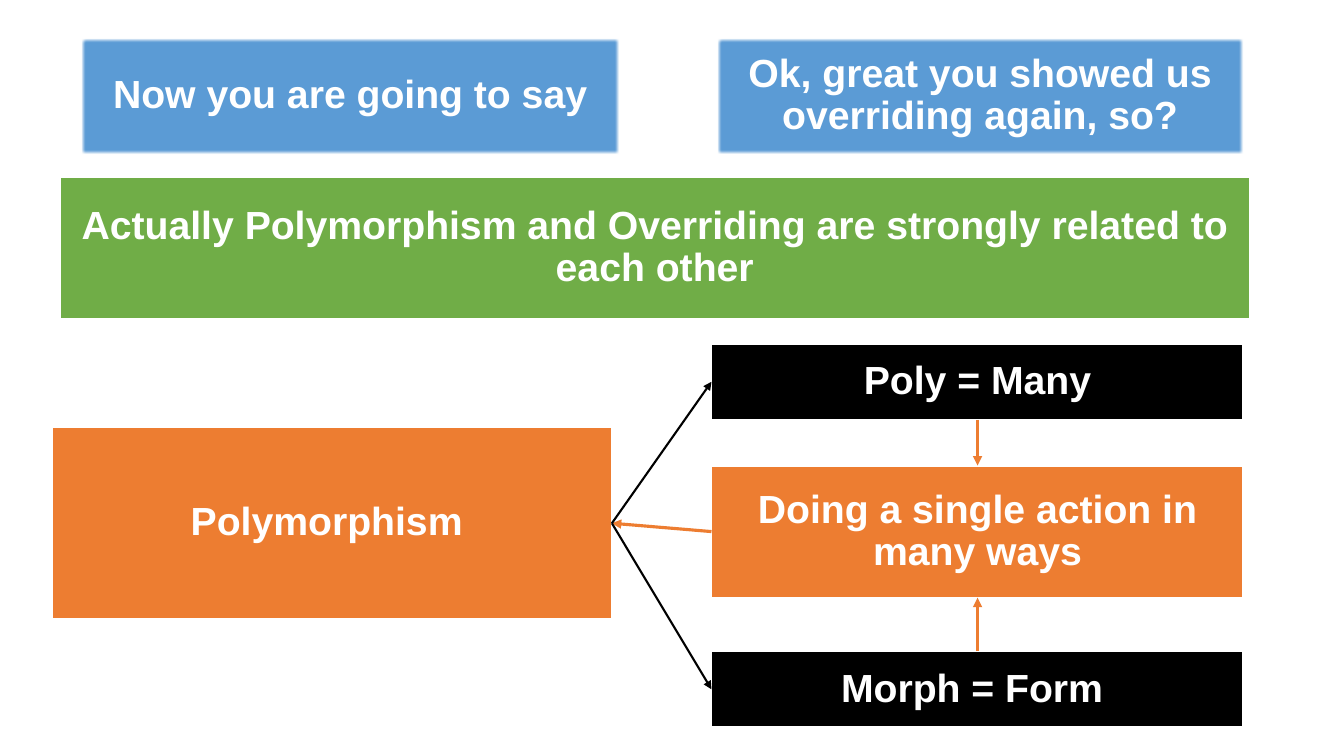
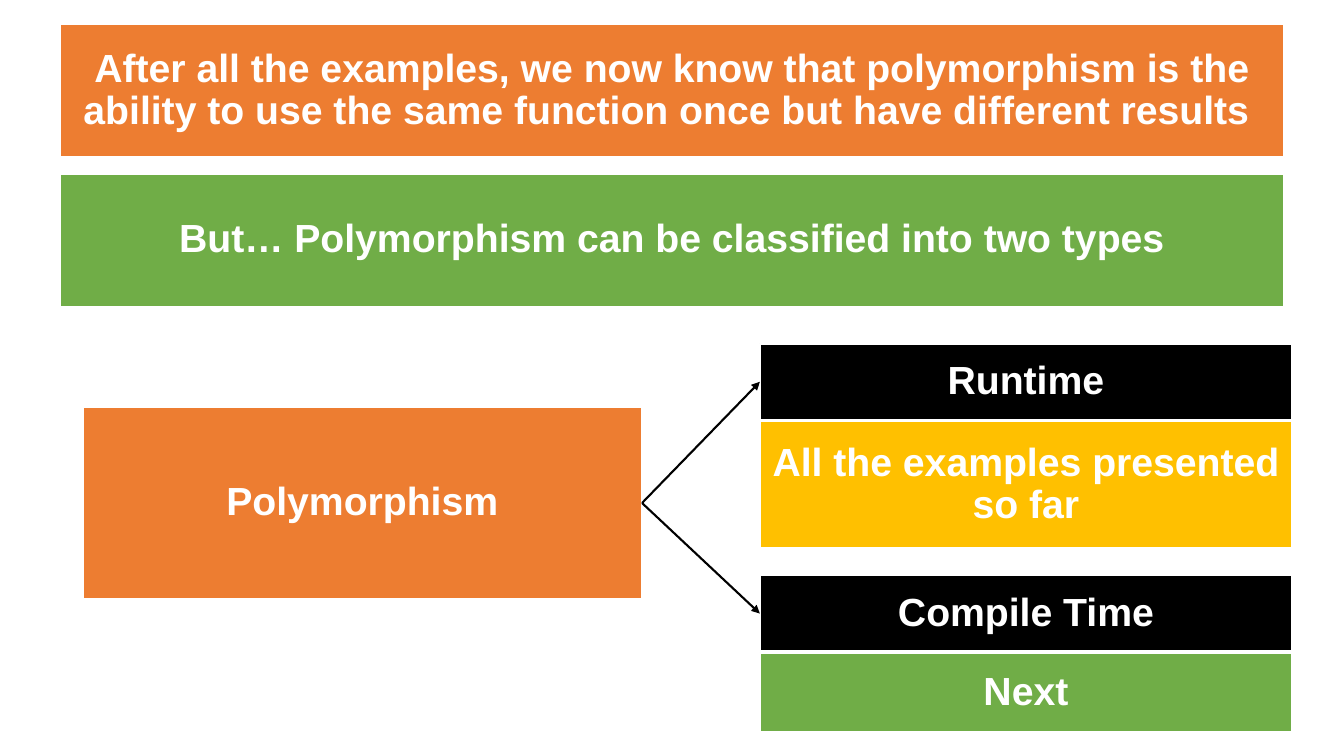
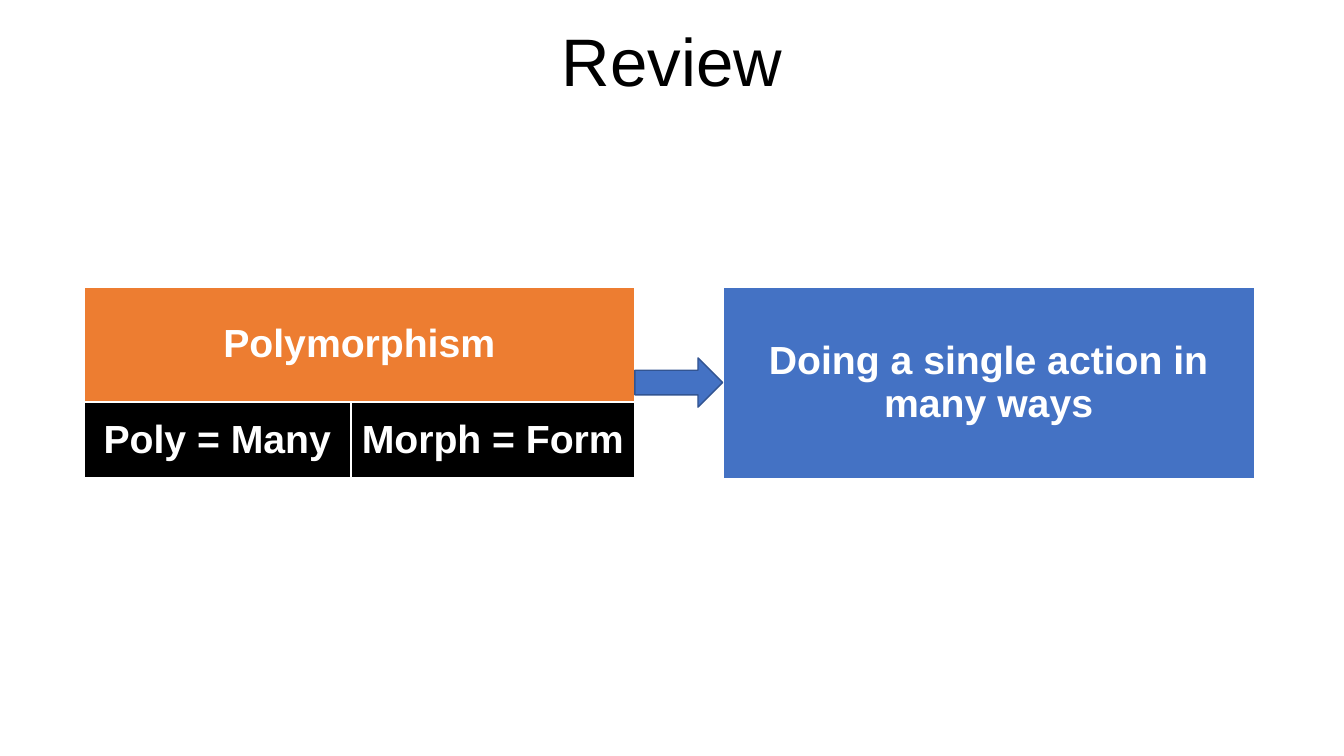
from lxml import etree
from pptx import Presentation
from pptx.dml.color import RGBColor
from pptx.enum.shapes import MSO_CONNECTOR, MSO_SHAPE
from pptx.enum.text import MSO_ANCHOR, PP_ALIGN
from pptx.oxml.ns import qn
from pptx.util import Cm, Pt

RECTANGLE, RIGHT_ARROW = MSO_SHAPE.RECTANGLE, MSO_SHAPE.RIGHT_ARROW
STRAIGHT = MSO_CONNECTOR.STRAIGHT
CENTER, MIDDLE = PP_ALIGN.CENTER, MSO_ANCHOR.MIDDLE
TOP, LEFT, BOTTOM, RIGHT = range(4)  # connection sites of a rectangle
TITLE_ONLY, BLANK = 5, 6

COLORS = {
    "white": "FFFFFF", "black": "000000", "sky": "5B9BD5", "blue": "4472C4",
    "navy": "325491", "green": "70AD47", "orange": "ED7D31", "gold": "FFC000",
}
FONT = "Arial"
SLIDE_WIDTH, SLIDE_HEIGHT = 33.87, 19.05
TERM_WIDTH, TERM_HEIGHT = 13.41, 1.92  # black label boxes
TOPIC_WIDTH, TOPIC_HEIGHT = 14.1, 4.83  # large topic box


def color(name):
    return RGBColor.from_string(COLORS[name])


class Deck:
    """Holds the shared style and the current slide."""

    def __init__(self):
        self.presentation = Presentation()
        self.presentation.slide_width = Cm(SLIDE_WIDTH)
        self.presentation.slide_height = Cm(SLIDE_HEIGHT)
        self.slide = None

    def new_slide(self, layout=BLANK):
        self.slide = self.presentation.slides.add_slide(
            self.presentation.slide_layouts[layout])

    def set_text(self, shape, text, size, font_color, bold):
        frame = shape.text_frame
        frame.text = text
        frame.word_wrap = True
        frame.vertical_anchor = MIDDLE
        paragraph = frame.paragraphs[0]
        paragraph.alignment = CENTER
        paragraph.line_spacing = 0.9
        font = paragraph.font
        font.name, font.size, font.bold = FONT, Pt(size), bold
        font.color.rgb = color(font_color)

    def title(self, text, height):
        title = self.slide.shapes.title
        title.left, title.top = Cm(0), Cm(0)
        title.width, title.height = Cm(SLIDE_WIDTH), Cm(height)
        self.set_text(title, text, 48, "black", False)

    def shape(self, kind, left, top, width, height, fill, line, line_width):
        shape = self.slide.shapes.add_shape(
            kind, Cm(left), Cm(top), Cm(width), Cm(height))
        shape.shadow.inherit = False
        shape.fill.solid()
        shape.fill.fore_color.rgb = color(fill)
        shape.line.color.rgb = color(line)
        shape.line.width = Pt(line_width)
        return shape

    def box(self, text, left, top, width, height, fill):
        box = self.shape(RECTANGLE, left, top, width, height, fill, "white", 1.5)
        self.set_text(box, text, 28, "white", True)
        return box

    def soft_box(self, *arguments):
        box = self.box(*arguments)
        effects = box._element.spPr.find(qn("a:effectLst"))
        etree.SubElement(effects, qn("a:softEdge")).set("rad", str(Pt(2.5)))

    def block_arrow(self, left, top, width, height):
        self.shape(RIGHT_ARROW, left, top, width, height, "blue", "navy", 1)

    def arrow(self, start, start_site, end, end_site, line="black", width=1.5):
        connector = self.slide.shapes.add_connector(STRAIGHT, 0, 0, 0, 0)
        connector.begin_connect(start, start_site)
        connector.end_connect(end, end_site)
        connector.line.color.rgb = color(line)
        connector.line.width = Pt(width)
        properties = connector._element.spPr
        outline = properties.find(qn("a:ln"))
        etree.SubElement(outline, qn("a:tailEnd")).set("type", "triangle")
        etree.SubElement(properties, qn("a:effectLst"))


def build_meaning(deck):
    deck.new_slide()
    # Opening dialogue
    deck.soft_box("Ok, great you showed us overriding again, so?",
                  18.06, 0.94, 13.28, 2.95, "sky")
    deck.soft_box("Now you are going to say", 2.03, 0.94, 13.59, 2.95, "sky")
    deck.box("Actually Polymorphism and Overriding are strongly related to each other",
             1.5, 4.47, 30, 3.56, "green")
    # The word, its parts and their meaning
    column = 17.93
    topic = deck.box("Polymorphism ", 1.32, 10.77, TOPIC_WIDTH, TOPIC_HEIGHT, "orange")
    morph = deck.box("Morph = Form ", column, 16.41, TERM_WIDTH, TERM_HEIGHT, "black")
    poly = deck.box("Poly = Many", column, 8.66, TERM_WIDTH, TERM_HEIGHT, "black")
    meaning = deck.box("Doing a single action in many ways",
                       column, 11.73, TERM_WIDTH, 3.33, "orange")
    # Arrows
    for start, start_site, end, end_site in (
            (morph, TOP, meaning, BOTTOM),
            (poly, BOTTOM, meaning, TOP),
            (meaning, LEFT, topic, RIGHT)):
        deck.arrow(start, start_site, end, end_site, "orange", 2.25)
    for term in (poly, morph):
        deck.arrow(topic, RIGHT, term, LEFT)


def build_types(deck):
    deck.new_slide()
    # Banners
    banners = (
        ("After all the examples, we now know that polymorphism is the ability "
         "to use the same function once but have different results ", "orange"),
        ("But… Polymorphism can be classified into two types", "green"),
    )
    for index, (text, fill) in enumerate(banners):
        deck.box(text, 1.5, 0.61 + index * 3.77, 30.86, 3.35, fill)
    # Each type with its note directly below
    topic = deck.box("Polymorphism", 2.08, 10.26, TOPIC_WIDTH, TOPIC_HEIGHT, "orange")
    types = (
        ("Runtime", 8.66, "All the examples presented so far", 3.2, "gold"),
        ("Compile Time", 14.5, "Next", 2.01, "green"),
    )
    column = 19.15
    for name, top, note, note_height, fill in types:
        term = deck.box(name, column, top, TERM_WIDTH, TERM_HEIGHT, "black")
        deck.box(note, column, top + TERM_HEIGHT + 0.03, TERM_WIDTH, note_height, fill)
        deck.arrow(topic, RIGHT, term, LEFT)


def build_review(deck):
    deck.new_slide(TITLE_ONLY)
    deck.title("Review", 3.28)
    # The word above its two parts
    left, top, height = 2.11, 7.24, 2.9
    poly_width, morph_width = 6.73, 7.16
    width = poly_width + morph_width
    deck.box("Polymorphism", left, top, width, height, "orange")
    deck.box("Morph = Form ", left + poly_width, top + height,
             morph_width, TERM_HEIGHT, "black")
    deck.box("Poly = Many", left, top + height, poly_width, TERM_HEIGHT, "black")
    # Meaning
    deck.box("Doing a single action in many ways",
             18.21, top, TERM_WIDTH, TOPIC_HEIGHT, "blue")
    deck.block_arrow(left + width, 9.02, 2.21, 1.24)


def main():
    deck = Deck()
    build_meaning(deck)
    build_types(deck)
    build_review(deck)
    deck.presentation.save("out.pptx")


if __name__ == "__main__":
    main()
